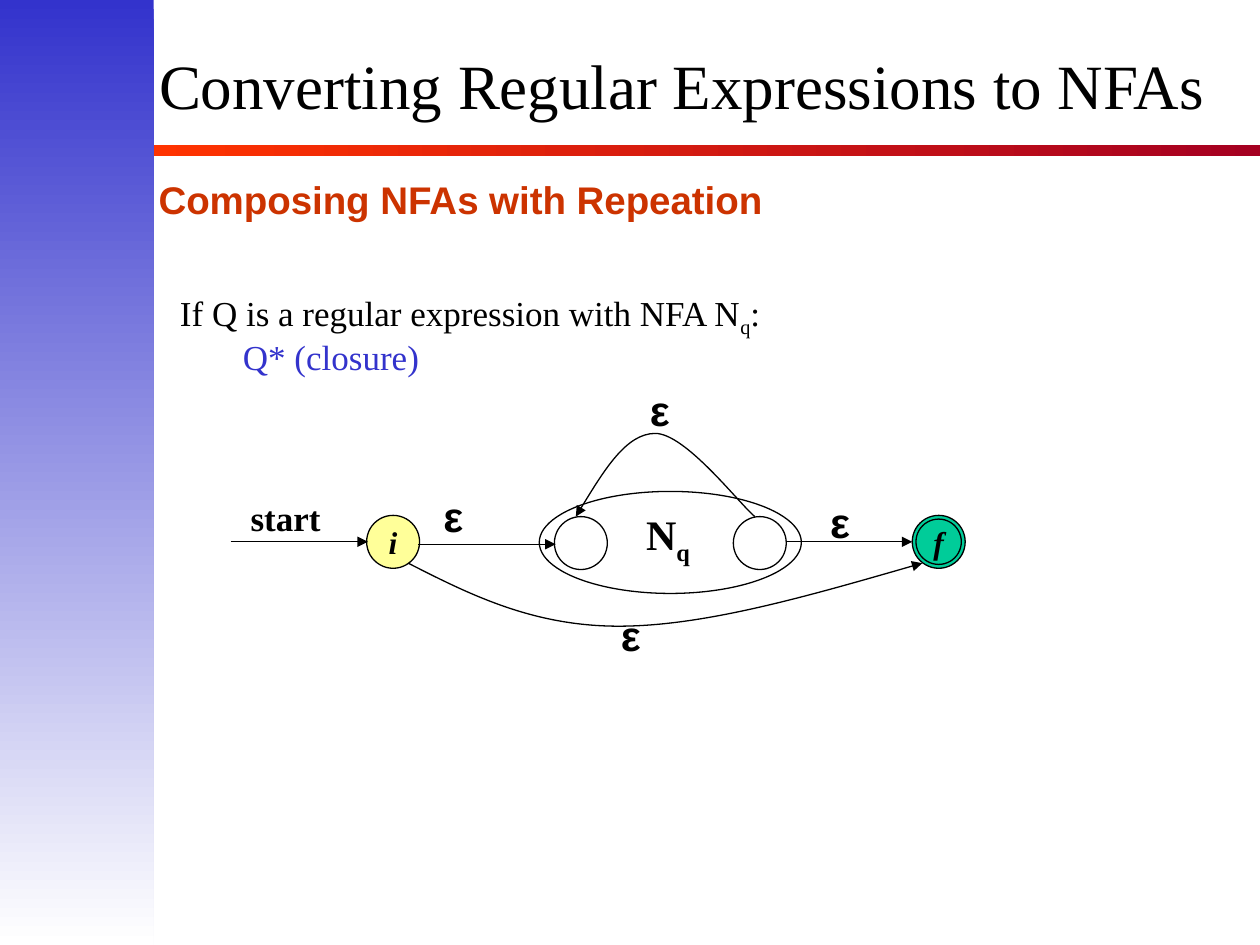
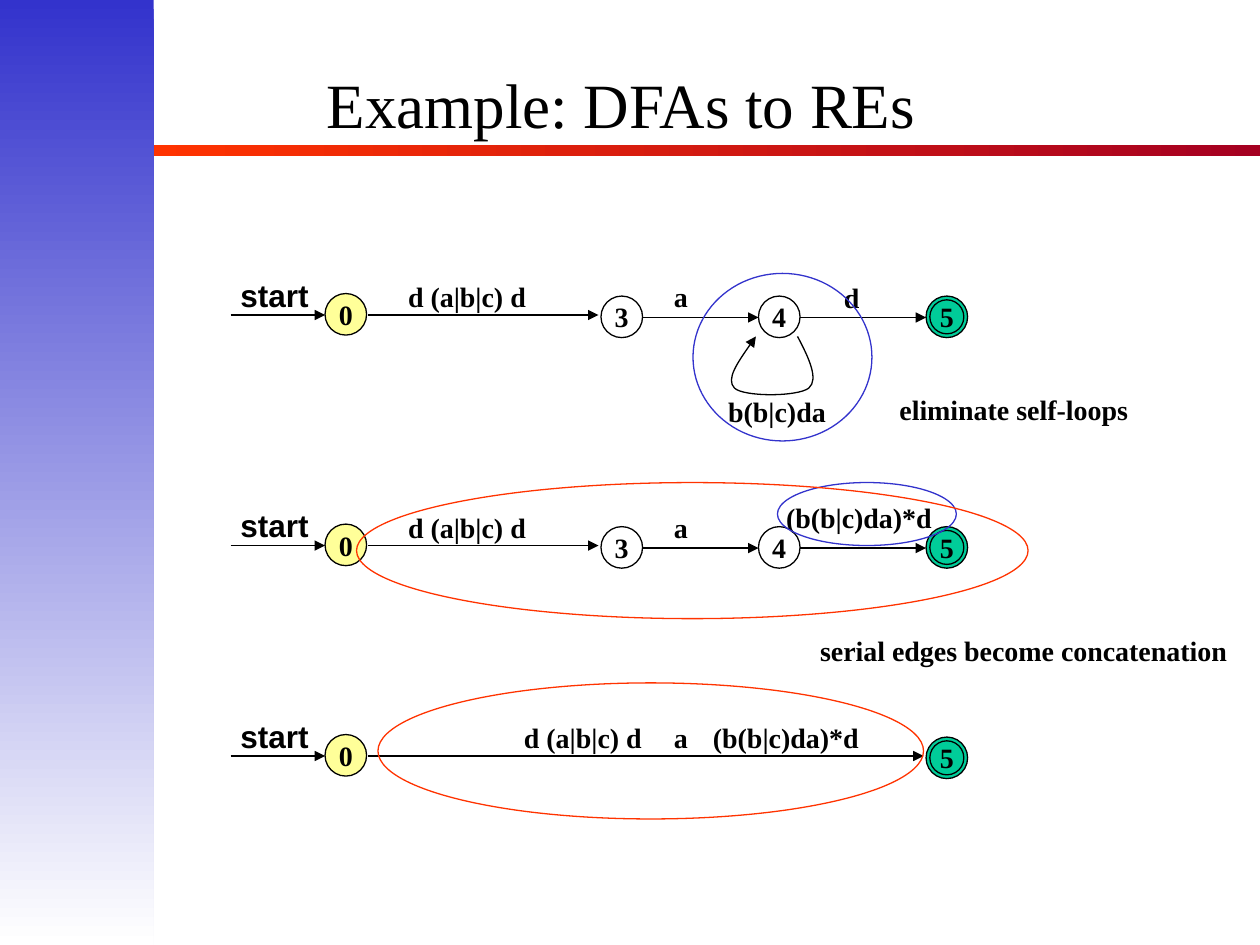
from dataclasses import dataclass

from lxml import etree
from pptx import Presentation
from pptx.dml.color import RGBColor
from pptx.enum.shapes import MSO_CONNECTOR, MSO_SHAPE
from pptx.enum.text import MSO_ANCHOR, MSO_AUTO_SIZE, PP_ALIGN
from pptx.oxml.ns import qn
from pptx.util import Inches, Pt

RECT, ELLIPSE = MSO_SHAPE.RECTANGLE, MSO_SHAPE.OVAL
STRAIGHT = MSO_CONNECTOR.STRAIGHT
CENTER, MIDDLE = PP_ALIGN.CENTER, MSO_ANCHOR.MIDDLE
FIT_TEXT = MSO_AUTO_SIZE.SHAPE_TO_FIT_TEXT

SERIF, SANS = "Times New Roman", "Arial"
COLORS = {
    "black": "000000",
    "white": "FFFFFF",
    "blue": "3333CC",
    "orange": "FF3300",
    "crimson": "A50021",
    "heading": "CC3300",
    "initial": "FFFF99",
    "final": "00CC99",
}


@dataclass(frozen=True)
class Style:
    size: float
    font: str = SERIF
    bold: bool = True
    italic: bool = False
    color: str = "black"


@dataclass(frozen=True)
class Box:
    x: float
    y: float
    w: float
    h: float

    def emu(self) -> tuple:
        return tuple(Inches(v) for v in (self.x, self.y, self.w, self.h))


@dataclass(frozen=True)
class Label:
    text: str
    box: Box
    style: Style


@dataclass(frozen=True)
class State:
    name: str
    x: float
    y: float
    fill: str = ""
    final: bool = False


@dataclass(frozen=True)
class Edge:
    x1: float
    y1: float
    x2: float
    y2: float


@dataclass(frozen=True)
class Row:
    """One automaton of the reduction; y is its offset from the first one."""
    y: float
    states: tuple
    edges: tuple
    labels: tuple


TITLE = Style(36, bold=False)
HEADING = Style(22, SANS, color="heading")
BODY = Style(20, bold=False)
CLOSURE = Style(20, bold=False, color="blue")
EPSILON = Style(24, SANS)
SUBNET = Style(24)
START_SERIF, START_SANS = Style(20), Style(18, SANS)
NFA_STATE, DFA_STATE = Style(18, italic=True), Style(16)
EDGE_TEXT = Style(16)


def rgb(name: str) -> RGBColor:
    return RGBColor.from_string(COLORS[name])


def write(p, text: str, style: Style) -> None:
    """Fill a paragraph; text between underscores becomes a subscript."""
    for i, part in enumerate(text.split("_")):
        if not part:
            continue
        r = p.add_run()
        r.text = part
        r.font.name, r.font.size = style.font, Pt(style.size)
        r.font.bold, r.font.italic = style.bold, style.italic
        r.font.color.rgb = rgb(style.color)
        if i % 2:
            r.font._element.set("baseline", "-25000")


def add_label(s, label: Label) -> None:
    tb = s.shapes.add_textbox(*label.box.emu())
    tf = tb.text_frame
    tf.word_wrap = False
    tf.auto_size = FIT_TEXT
    write(tf.paragraphs[0], label.text, label.style)


def add_title(s, text: str, box: Box) -> None:
    tf = s.shapes.add_textbox(*box.emu()).text_frame
    tf.word_wrap = True
    tf.vertical_anchor = MIDDLE
    p = tf.paragraphs[0]
    p.alignment, p.line_spacing = CENTER, 0.8
    write(p, text, TITLE)


def add_band(s, box: Box, first: str, last: str, angle: int) -> None:
    sp = s.shapes.add_shape(RECT, *box.emu())
    sp.shadow.inherit = False
    sp.line.fill.background()
    sp.fill.gradient()
    sp.fill.gradient_angle = angle
    for stop, color in zip(sp.fill.gradient_stops, (first, last)):
        stop.color.rgb = rgb(color)


def add_base_slide(prs, title: str, title_box: Box):
    s = prs.slides.add_slide(prs.slide_layouts[6])
    add_band(s, Box(1.2, 1.15, 8.8, 0.09), "orange", "crimson", 0)
    add_band(s, Box(0, 0, 1.22, 7.5), "blue", "white", 270)
    add_title(s, title, title_box)
    return s


def add_ellipse(s, box: Box, line: str = "black", fill: str = ""):
    sp = s.shapes.add_shape(ELLIPSE, *box.emu())
    sp.shadow.inherit = False
    sp.line.color.rgb, sp.line.width = rgb(line), Pt(0.75)
    if fill:
        sp.fill.solid()
        sp.fill.fore_color.rgb = rgb(fill)
    else:
        sp.fill.background()
    return sp


def add_state(s, state: State, size: float, style: Style, dy: float = 0) -> None:
    x, y = state.x, state.y + dy
    sp = add_ellipse(s, Box(x, y, size, size), fill=state.fill)
    if state.name:
        tf = sp.text_frame
        tf.word_wrap = False
        tf.vertical_anchor = MIDDLE
        tf.paragraphs[0].alignment = CENTER
        write(tf.paragraphs[0], state.name, style)
    if state.final:
        gap = 0.03
        add_ellipse(s, Box(x + gap, y + gap, size - 2 * gap, size - 2 * gap))


def style_arrow(sp) -> None:
    sp.line.color.rgb, sp.line.width = rgb("black"), Pt(0.75)
    tail = etree.SubElement(sp.line._get_or_add_ln(), qn("a:tailEnd"))
    tail.set("type", "triangle")


def add_edge(s, edge: Edge, dy: float = 0) -> None:
    ends = (edge.x1, edge.y1 + dy, edge.x2, edge.y2 + dy)
    cxn = s.shapes.add_connector(STRAIGHT, *(Inches(v) for v in ends))
    style_arrow(cxn)
    etree.SubElement(cxn._element.spPr, qn("a:effectLst"))


def add_curved_edge(s, *points: tuple) -> None:
    """Draw an arrow from a start point and three points per Bezier segment."""
    start, *rest = [(Inches(x), Inches(y)) for x, y in points]
    fb = s.shapes.build_freeform(*start)
    fb.add_line_segments(rest, close=False)
    sp = fb.convert_to_shape()
    sp.shadow.inherit = False
    sp.fill.background()
    style_arrow(sp)
    lines = list(sp._element.iter(qn("a:lnTo")))
    for i in range(0, len(lines), 3):
        curve = etree.Element(qn("a:cubicBezTo"))
        lines[i].addprevious(curve)
        for line in lines[i:i + 3]:
            curve.append(line[0])
            line.getparent().remove(line)


def add_closure_text(s) -> None:
    tf = s.shapes.add_textbox(*Box(1.33, 2.27, 8.5, 4.5).emu()).text_frame
    tf.word_wrap = True
    lines = (
        ("If Q is a regular expression with NFA N_q_:", BODY, 0.67, -0.67, 0.89, 0),
        ("Q* (closure)", CLOSURE, 1.08, -0.58, 0.8, 5),
    )
    for i, (text, style, margin, indent, spacing, before) in enumerate(lines):
        p = tf.add_paragraph() if i else tf.paragraphs[0]
        p.line_spacing = spacing
        if before:
            p.space_before = Pt(before)
        pPr = p._p.get_or_add_pPr()
        pPr.set("marL", str(Inches(margin)))
        pPr.set("indent", str(Inches(indent)))
        write(p, text, style)


def build_closure_slide(prs) -> None:
    s = add_base_slide(prs, "Converting Regular Expressions to NFAs",
                       Box(0.94, 0.42, 8.94, 0.61))
    add_closure_text(s)
    add_ellipse(s, Box(4.28, 3.9, 2.08, 0.81))
    for state in (State("", 4.4, 4.1), State("", 5.82, 4.1),
                  State("i", 2.91, 4.09, "initial"),
                  State("f", 7.24, 4.09, "final", True)):
        add_state(s, state, 0.42, NFA_STATE)
    for edge in (Edge(1.83, 4.3, 2.92, 4.3), Edge(3.32, 4.32, 4.41, 4.32),
                 Edge(6.24, 4.3, 7.24, 4.3)):
        add_edge(s, edge)
    add_curved_edge(s, (5.99, 4.1), (5.86, 3.99), (5.44, 3.44), (5.2, 3.44),
                    (4.97, 3.44), (4.77, 3.77), (4.57, 4.1))
    add_curved_edge(s, (3.24, 4.47), (3.73, 4.72), (4.23, 4.97), (4.91, 4.97),
                    (5.59, 4.97), (6.45, 4.72), (7.32, 4.47))
    for x, y in ((5.06, 3), (3.42, 3.84), (6.49, 3.89), (4.83, 4.79)):
        add_label(s, Label("ε", Box(x, y, 0.36, 0.5), EPSILON))
    add_label(s, Label("N_q_", Box(5.03, 3.99, 0.58, 0.56), SUBNET))
    add_label(s, Label("start", Box(1.89, 3.89, 0.8, 0.44), START_SERIF))
    add_label(s, Label("Composing NFAs with Repeation",
                       Box(1.16, 1.35, 5.05, 0.47), HEADING))


STATE_0 = State("0", 2.58, 2.33, "initial")
STATE_3, STATE_4 = State("3", 4.77, 2.35), State("4", 6.02, 2.35)
STATE_5 = State("5", 7.35, 2.35, "final", True)
CHAIN = (STATE_0, STATE_3, STATE_4, STATE_5)
CHAIN_EDGES = (Edge(2.92, 2.5, 4.75, 2.5), Edge(5.1, 2.52, 6.02, 2.52),
               Edge(6.35, 2.52, 7.35, 2.52))
# Each edge text: words, left, top in the first row, width
PREFIX = ("d (a|b|c) d", 3.14, 2.17, 1.18)
LETTER_A = ("a", 5.25, 2.17, 0.33)
ROWS = (
    Row(0, CHAIN, CHAIN_EDGES,
        (PREFIX, LETTER_A, ("d", 6.6, 2.18, 0.34), ("b(b|c)da", 5.68, 3.08, 1.02),
         ("eliminate self-loops", 7.04, 3.07, 2.06))),
    Row(1.83, CHAIN, CHAIN_EDGES,
        (PREFIX, LETTER_A, ("(b(b|c)da)*d", 6.14, 2.09, 1.4),
         ("serial edges become concatenation", 6.41, 3.15, 3.48))),
    Row(3.5, (STATE_0, STATE_5), (Edge(2.92, 2.5, 7.33, 2.5),),
        (("d (a|b|c) d", 4.06, 2.17, 1.18), LETTER_A,
         ("(b(b|c)da)*d", 5.56, 2.17, 1.4))),
)
HIGHLIGHTS = (
    (Box(5.5, 2.17, 1.42, 1.33), "blue"),
    (Box(6.17, 3.83, 1.42, 0.5), "blue"),
    (Box(2.83, 3.83, 5.33, 1.08), "orange"),
    (Box(3, 5.42, 4.33, 1.08), "orange"),
)


def add_row(s, row: Row) -> None:
    for state in row.states:
        add_state(s, state, 0.33, DFA_STATE, row.y)
    for edge in (Edge(1.83, 2.5, 2.58, 2.5), *row.edges):
        add_edge(s, edge, row.y)
    add_label(s, Label("start", Box(1.81, 2.14 + row.y, 0.78, 0.4), START_SANS))
    for text, x, y, w in row.labels:
        add_label(s, Label(text, Box(x, y + row.y, w, 0.37), EDGE_TEXT))


def build_reduction_slide(prs) -> None:
    s = add_base_slide(prs, "Example: DFAs to REs", Box(0.68, 0.25, 8.5, 1.25))
    for row in ROWS:
        add_row(s, row)
    add_curved_edge(s, (6.33, 2.67), (6.42, 2.84), (6.5, 3.01), (6.42, 3.08),
                    (6.33, 3.15), (5.9, 3.15), (5.83, 3.08),
                    (5.76, 3.01), (5.88, 2.84), (6, 2.67))
    for box, color in HIGHLIGHTS:
        add_ellipse(s, box, color)


def main() -> None:
    prs = Presentation()
    prs.slide_width, prs.slide_height = Inches(10), Inches(7.5)
    build_closure_slide(prs)
    build_reduction_slide(prs)
    prs.save("out.pptx")


if __name__ == "__main__":
    main()
